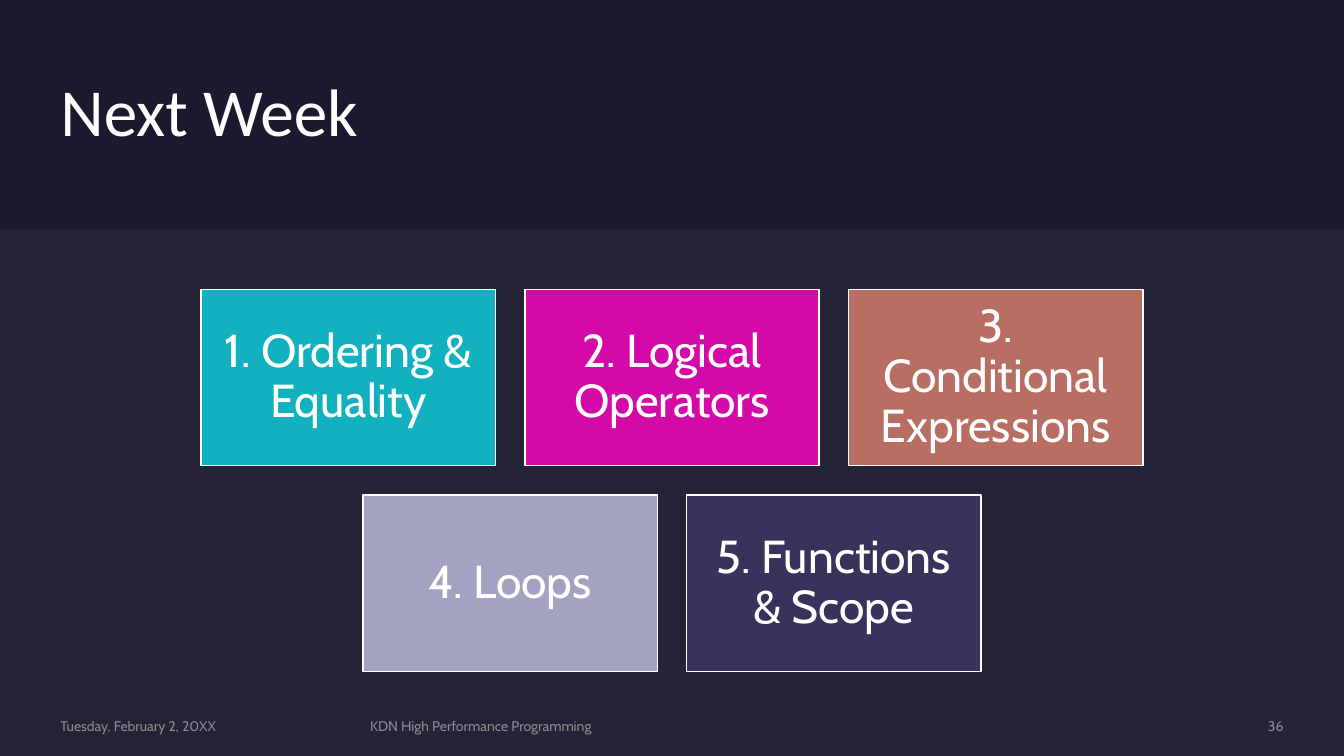
from dataclasses import dataclass

from lxml import etree
from pptx import Presentation
from pptx.dml.color import RGBColor
from pptx.dml.fill import FillFormat
from pptx.enum import shapes, text
from pptx.oxml import ns
from pptx.shapes.autoshape import Shape
from pptx.slide import Slide
from pptx.util import Inches, Pt

SLIDE_WIDTH, SLIDE_HEIGHT = 13.33, 7.5
CARD_WIDTH, CARD_HEIGHT, CARD_GAP = 2.92, 1.75, 0.29
CARDS_TOP = 2.87
PANEL_TOP = 2.28
WHITE = "FFFFFF"


@dataclass
class Topic:
    label: str
    color: str


@dataclass
class FooterItem:
    label: str
    left: float
    width: float
    alignment: text.PP_ALIGN = text.PP_ALIGN.LEFT


TOPIC_ROWS = [
    [
        Topic("1. Ordering & Equality", "12B1BF"),
        Topic("2. Logical Operators", "D40AA8"),
        Topic("3. Conditional Expressions", "B86E62"),
    ],
    [Topic("4. Loops", "A3A3C1"), Topic("5. Functions & Scope", "37335B")],
]
FOOTER = [
    FooterItem("Tuesday, February 2, 20XX", 0.6, 2.88),
    FooterItem("KDN High Performance Programming", 3.67, 6.98),
    FooterItem("36", 10.88, 1.85, text.PP_ALIGN.RIGHT),
]


def set_fill(fill: FillFormat, color: str, opacity: int = 100) -> None:
    """Fill with a hex colour at the given opacity in percent."""
    fill.solid()
    fill.fore_color.rgb = RGBColor.from_string(color)
    if opacity < 100:
        color_element = fill._xPr.find(f".//{ns.qn('a:srgbClr')}")
        etree.SubElement(color_element, ns.qn("a:alpha"), val=str(opacity * 1000))


def write(shape: Shape, label: str, size: float, font_name: str, color: str = WHITE,
          opacity: int = 100, inset: float = 0, **paragraph_format) -> None:
    """Set one vertically centred paragraph in the shape."""
    frame = shape.text_frame
    frame.text = label
    margins = {f"margin_{side}": Inches(inset) for side in ("left", "top", "right", "bottom")}
    frame_format = {
        "word_wrap": True,
        "auto_size": text.MSO_AUTO_SIZE.NONE,
        "vertical_anchor": text.MSO_ANCHOR.MIDDLE,
        **margins,
    }
    paragraph = frame.paragraphs[0]
    font = paragraph.runs[0].font
    for target, values in (
        (frame, frame_format),
        (paragraph, paragraph_format),
        (font, {"size": Pt(size), "name": font_name}),
    ):
        for name, value in values.items():
            setattr(target, name, value)
    set_fill(font.fill, color, opacity)


def add_rectangle(slide: Slide, left: float, top: float, width: float, height: float,
                  color: str, opacity: int = 100) -> Shape:
    shape = slide.shapes.add_shape(
        shapes.MSO_SHAPE.RECTANGLE, Inches(left), Inches(top), Inches(width), Inches(height)
    )
    shape.shadow.inherit = False
    set_fill(shape.fill, color, opacity)
    shape.line.fill.background()
    return shape


def add_title(slide: Slide, label: str) -> None:
    title = slide.shapes.title
    position = {"left": 0.6, "top": 0.6, "width": 7.99, "height": 1.08}
    for name, value in position.items():
        setattr(title, name, Inches(value))
    write(title, label, 48, "Calibri", alignment=text.PP_ALIGN.LEFT, line_spacing=0.9)


def add_topic_row(slide: Slide, topics: list[Topic], top: float) -> None:
    """Draw the cards of one row, centred on the slide."""
    pitch = CARD_WIDTH + CARD_GAP
    first_left = (SLIDE_WIDTH - len(topics) * pitch + CARD_GAP) / 2
    for column, topic in enumerate(topics):
        card = add_rectangle(
            slide, first_left + column * pitch, top, CARD_WIDTH, CARD_HEIGHT, topic.color
        )
        set_fill(card.line.fill, WHITE)
        card.line.width = Pt(1)
        write(card, topic.label, 33, "Cabin", inset=0.14,
              alignment=text.PP_ALIGN.CENTER, line_spacing=0.9)


def add_footer_item(slide: Slide, item: FooterItem) -> None:
    box = slide.shapes.add_textbox(
        Inches(item.left), Inches(7.12), Inches(item.width), Inches(0.17)
    )
    write(box, item.label, 10, "Cabin", "A6A6A6", 80,
          alignment=item.alignment, space_after=Pt(6))


def main() -> None:
    presentation = Presentation()
    presentation.slide_width = Inches(SLIDE_WIDTH)
    presentation.slide_height = Inches(SLIDE_HEIGHT)
    slide = presentation.slides.add_slide(presentation.slide_layouts.get_by_name("Title Only"))
    set_fill(slide.background.fill, "1B192E")
    add_title(slide, "Next Week")
    add_rectangle(slide, 0, PANEL_TOP, SLIDE_WIDTH, SLIDE_HEIGHT - PANEL_TOP, "E4E3F0", 5)
    for item in FOOTER:
        add_footer_item(slide, item)
    for row, topics in enumerate(TOPIC_ROWS):
        add_topic_row(slide, topics, CARDS_TOP + row * (CARD_HEIGHT + CARD_GAP))
    presentation.save("out.pptx")


if __name__ == "__main__":
    main()
